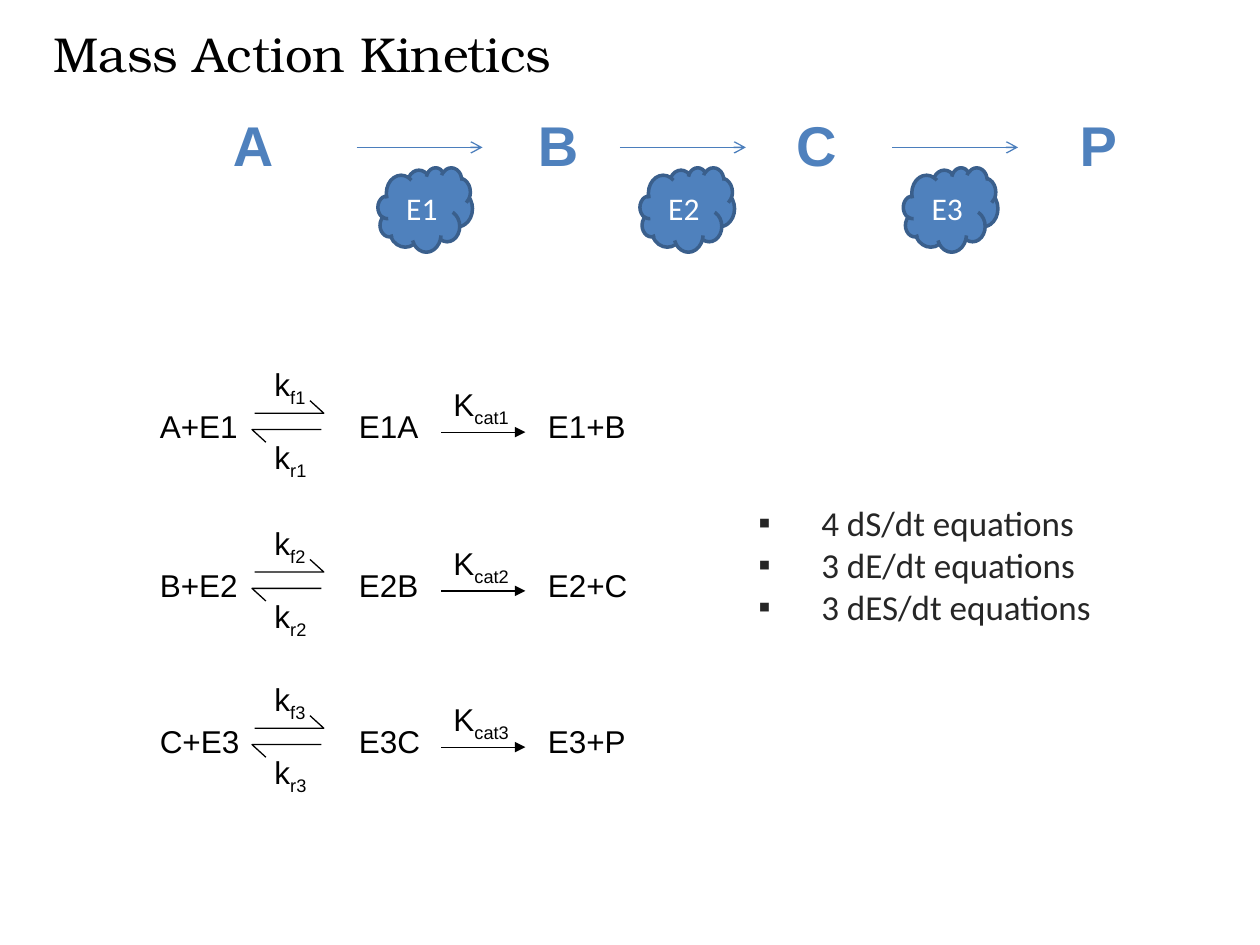
from dataclasses import dataclass

from lxml import etree
from pptx import Presentation
from pptx.dml.color import RGBColor
from pptx.enum import shapes, text
from pptx.oxml.ns import qn
from pptx.util import Pt

EMU_PER_PX = 9144  # 100 px to the inch

BLACK = RGBColor(0x00, 0x00, 0x00)
WHITE = RGBColor(0xFF, 0xFF, 0xFF)
GREY = RGBColor(0x26, 0x26, 0x26)
BLUE = RGBColor(0x4F, 0x81, 0xBD)
ARROW_BLUE = RGBColor(0x4B, 0x7E, 0xBC)
EDGE_BLUE = RGBColor(0x3A, 0x5F, 0x8C)


@dataclass(frozen=True)
class Style:
    font: str
    size: int
    color: RGBColor
    bold: bool = False


TITLE = Style("TeX Gyre Bonum", 28, BLACK)
SPECIES = Style("Arial", 32, BLUE, True)
ENZYME = Style("Calibri", 18, WHITE)
FORMULA = Style("Arial", 18, BLACK)
BULLET = Style("Calibri", 20, GREY)


@dataclass(frozen=True)
class Species:
    name: str
    left: int
    width: int


@dataclass(frozen=True)
class Step:
    enzyme: str
    cloud_left: int
    arrow_left: int


@dataclass(frozen=True)
class Reaction:
    number: int
    substrate: str
    product: str
    top: int


PATHWAY = [Species("A", 175, 53), Species("B", 417, 53),
           Species("C", 622, 53), Species("P", 847, 50)]
STEPS = [Step("E1", 300, 283), Step("E2", 508, 492), Step("E3", 717, 708)]
REACTIONS = [Reaction(1, "A", "B", 318), Reaction(2, "B", "C", 444),
             Reaction(3, "C", "P", 568)]
COUNTS = ["4 dS/dt equations", "3 dE/dt equations", "3 dES/dt equations"]


def px(value: int) -> int:
    return value * EMU_PER_PX


def add_span(para, words: str, style: Style, subscript: bool = False) -> None:
    span = para.add_run()
    span.text = words
    span.font.name = style.font
    span.font.size = Pt(style.size)
    span.font.bold = style.bold
    span.font.color.rgb = style.color
    if subscript:
        span._r.get_or_add_rPr().set("baseline", "-25000")


def add_box(parent, left: int, top: int, width: int, height: int, wrap: bool = False):
    box = parent.add_textbox(px(left), px(top), px(width), px(height))
    box.text_frame.word_wrap = wrap
    box.text_frame.auto_size = text.MSO_AUTO_SIZE.SHAPE_TO_FIT_TEXT
    return box.text_frame


def add_label(parent, left: int, top: int, width: int, words: str, sub: str = "") -> None:
    para = add_box(parent, left, top, width, 40).paragraphs[0]
    add_span(para, words, FORMULA)
    if sub:
        add_span(para, sub, FORMULA, subscript=True)


def add_arrow(parent, left: int, y: int, length: int, color: RGBColor, head: str) -> None:
    arrow = parent.add_connector(shapes.MSO_CONNECTOR.STRAIGHT,
                                 px(left), px(y), px(left + length), px(y))
    arrow.line.color.rgb = color
    arrow.line.width = Pt(0.75)
    etree.SubElement(arrow.line._get_or_add_ln(), qn("a:tailEnd"), type=head)
    etree.SubElement(arrow._element.spPr, qn("a:effectLst"))


def add_harpoon(parent, points: list[tuple[int, int]]) -> None:
    builder = parent.build_freeform(*points[0], scale=EMU_PER_PX)
    builder.add_line_segments(points[1:], close=False)
    harpoon = builder.convert_to_shape()
    harpoon.shadow.inherit = False
    harpoon.fill.background()
    harpoon.line.color.rgb = BLACK
    harpoon.line.width = Pt(0.75)


def add_cloud(parent, step: Step) -> None:
    cloud = parent.add_shape(shapes.MSO_SHAPE.CLOUD,
                             px(step.cloud_left), px(133), px(75), px(67))
    cloud.shadow.inherit = False
    cloud.fill.solid()
    cloud.fill.fore_color.rgb = BLUE
    cloud.line.color.rgb = EDGE_BLUE
    cloud.line.width = Pt(2)
    frame = cloud.text_frame
    frame.word_wrap = False
    frame.vertical_anchor = text.MSO_ANCHOR.MIDDLE
    frame.paragraphs[0].alignment = text.PP_ALIGN.CENTER
    add_span(frame.paragraphs[0], step.enzyme, ENZYME)


def add_reaction(page, reaction: Reaction) -> None:
    parent = page.shapes.add_group_shape().shapes
    number, top = reaction.number, reaction.top
    enzyme = f"E{number}"
    # Reversible binding, then catalysis
    add_harpoon(parent, [(202, top + 10), (257, top + 10), (246, top)])
    add_harpoon(parent, [(255, top + 23), (200, top + 23), (211, top + 33)])
    add_arrow(parent, 350, top + 25, 67, BLACK, "triangle")
    # Rate constants
    add_label(parent, 208, top - 33, 48, "k", f"f{number}")
    add_label(parent, 208, top + 25, 48, "k", f"r{number}")
    add_label(parent, 350, top - 17, 70, "K", f"cat{number}")
    # Reactants, complex and products
    add_label(parent, 117, top, 84, f"{reaction.substrate}+{enzyme}")
    add_label(parent, 275, top, 70, f"{enzyme}{reaction.substrate}")
    add_label(parent, 425, top, 84, f"{enzyme}+{reaction.product}")


def add_bullets(page, lines: list[str]) -> None:
    frame = add_box(page.shapes, 592, 393, 383, 111, wrap=True)
    for index, line in enumerate(lines):
        para = frame.add_paragraph() if index else frame.paragraphs[0]
        properties = para._p.get_or_add_pPr()
        properties.set("marL", str(px(50)))
        properties.set("indent", str(px(-50)))
        etree.SubElement(properties, qn("a:buFont"), typeface="Arial")
        etree.SubElement(properties, qn("a:buChar"), char="▪")
        add_span(para, line, BULLET)


def main() -> None:
    deck = Presentation()
    deck.slide_width, deck.slide_height = px(1000), px(750)
    page = deck.slides.add_slide(deck.slide_layouts[6])

    # Title
    title = add_box(page.shapes, 33, 14, 942, 57, wrap=True)
    add_span(title.paragraphs[0], "Mass Action Kinetics", TITLE)

    # Pathway with its enzymes
    for step in STEPS:
        add_cloud(page.shapes, step)
    for species in PATHWAY:
        frame = add_box(page.shapes, species.left, 83, species.width, 64)
        add_span(frame.paragraphs[0], species.name, SPECIES)
    for step in STEPS:
        add_arrow(page.shapes, step.arrow_left, 117, 100, ARROW_BLUE, "arrow")

    # Reaction schemes
    for reaction in REACTIONS:
        add_reaction(page, reaction)

    # Equation counts
    add_bullets(page, COUNTS)

    deck.save("out.pptx")


if __name__ == "__main__":
    main()
